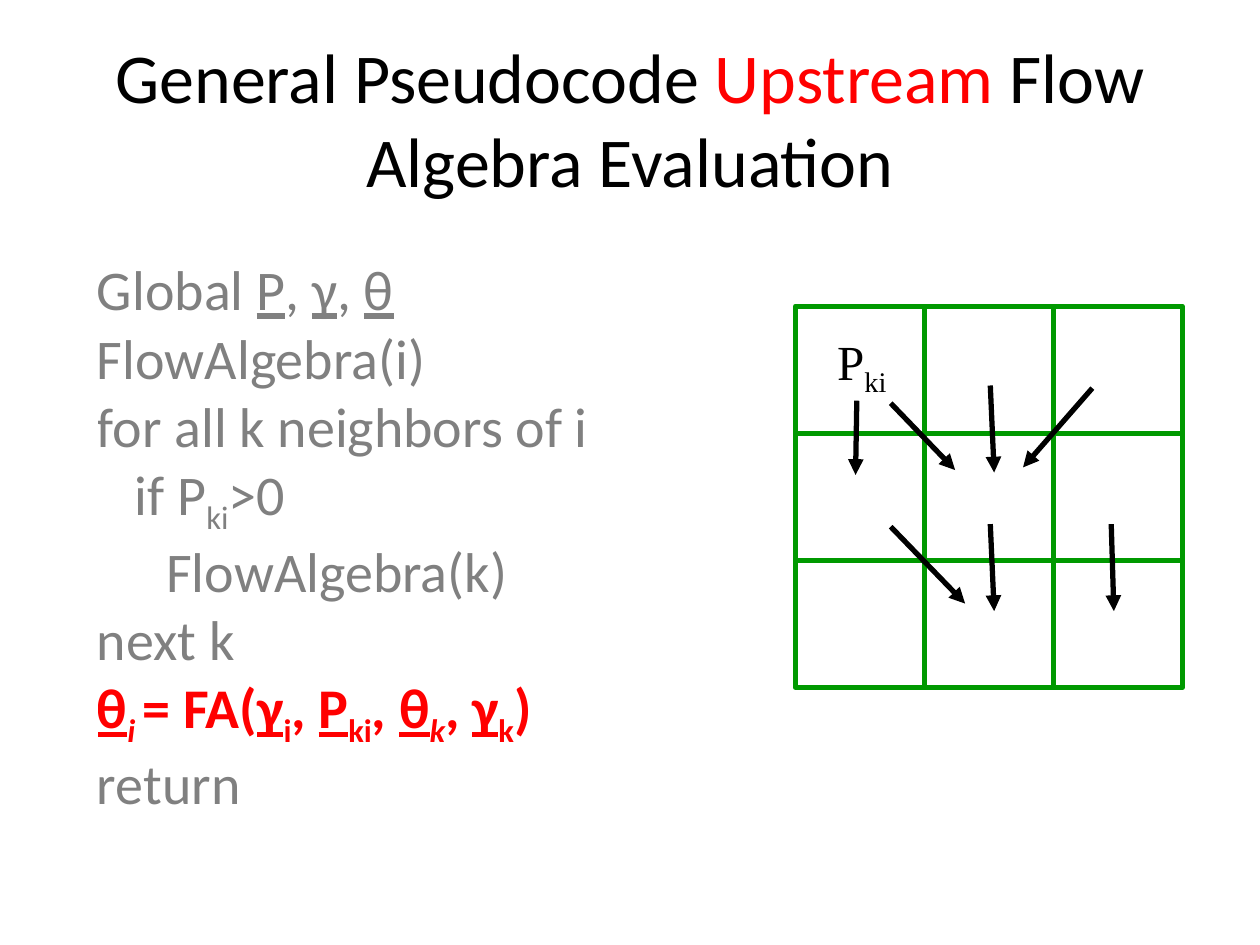
from dataclasses import dataclass
from itertools import product

from lxml import etree
from pptx import Presentation
from pptx import util as u
from pptx.dml.color import RGBColor
from pptx.enum import shapes, text
from pptx.oxml.ns import qn


@dataclass(frozen=True)
class Theme:
    black: RGBColor = RGBColor(0, 0, 0)
    red: RGBColor = RGBColor(255, 0, 0)
    gray: RGBColor = RGBColor(128, 128, 128)
    green: RGBColor = RGBColor(0, 153, 0)
    sans: str = "Calibri"
    serif: str = "Times New Roman"
    title_size: float = 40
    code_size: float = 32
    label_size: float = 28
    line_width: float = 3


THEME = Theme()

# Style letters: u underline, i italic, s subscript
TITLE = [("General Pseudocode ", THEME.black), ("Upstream", THEME.red),
         (" Flow Algebra Evaluation", THEME.black)]
RESULT = [("θ", "u"), ("i ", "is"), ("= FA(", ""), ("γ", "u"), ("i", "s"),
          (", ", ""), ("P", "u"), ("ki", "s"), (", ", ""), ("θ", "u"),
          ("k", "is"), (", ", ""), ("γ", "u"), ("k", "s"), (")", "")]
# Each line: left indent, highlighted, runs
CODE = [
    (0, False, [("Global ", ""), ("P", "u"), (", ", ""), ("γ", "u"),
                (", ", ""), ("θ", "u")]),
    (0, False, [("FlowAlgebra(i)", "")]),
    (0, False, [("for all k neighbors of i", "")]),
    (21.6, False, [("if P", ""), ("ki", "s"), (">0", "")]),
    (39.6, False, [("FlowAlgebra(k)", "")]),
    (0, False, [("next k", "")]),
    (0, True, RESULT),
    (0, False, [("return", "")]),
]

GRID_LEFT, GRID_TOP = 454.5, 175
CELL_WIDTH, CELL_HEIGHT = 73.7, 72.6
# Flow arrows: start x, start y, end x, end y
ARROWS = [
    (509, 230.4, 545.8, 268.6), (565.9, 299.5, 568.1, 349.2),
    (624.2, 221.8, 584.6, 267.1), (635, 299.5, 636.5, 349.2),
    (565.9, 220.3, 568.1, 270), (509, 301, 551.5, 344.9),
    (489.6, 229, 488.9, 271.4),
]


def points(*values):
    return [u.Pt(value) for value in values]


def add_run(para, words, font, size, color, style="", bold=False):
    span = para.add_run()
    span.text = words
    span.font.name = font
    span.font.size = u.Pt(size)
    span.font.color.rgb = color
    span.font.bold = bold
    span.font.underline = "u" in style
    span.font.italic = "i" in style
    if "s" in style:
        span._r.get_or_add_rPr().set("baseline", "-25000")


def add_title(page):
    frame = page.shapes.add_textbox(*points(54, 21, 612, 92)).text_frame
    frame.word_wrap = True
    frame.vertical_anchor = text.MSO_ANCHOR.MIDDLE
    para = frame.paragraphs[0]
    para.alignment = text.PP_ALIGN.CENTER
    for words, color in TITLE:
        add_run(para, words, THEME.sans, THEME.title_size, color)


def add_code_table(page):
    table = page.shapes.add_table(1, 1, *points(55.4, 147, 353, 307.4)).table
    table.first_row = table.horz_banding = False
    cell = table.cell(0, 0)
    cell.fill.background()
    cell.margin_left = cell.margin_right = 0
    cell.margin_top = cell.margin_bottom = 0
    frame = cell.text_frame
    for number, (indent, highlight, runs) in enumerate(CODE):
        para = frame.add_paragraph() if number else frame.paragraphs[0]
        if indent:
            para._p.get_or_add_pPr().set("marL", str(u.Pt(indent)))
        color = THEME.red if highlight else THEME.gray
        for words, style in runs:
            add_run(para, words, THEME.sans, THEME.code_size, color,
                    style, highlight)


def add_grid_cell(group, row, column):
    box = group.shapes.add_shape(
        shapes.MSO_SHAPE.RECTANGLE,
        *points(GRID_LEFT + column * CELL_WIDTH, GRID_TOP + row * CELL_HEIGHT,
                CELL_WIDTH, CELL_HEIGHT))
    box.shadow.inherit = False
    box.fill.background()
    box.line.color.rgb = THEME.green
    box.line.width = u.Pt(THEME.line_width)


def add_arrow(group, ends):
    arrow = group.shapes.add_connector(
        shapes.MSO_CONNECTOR.STRAIGHT, *points(*ends))
    arrow.line.color.rgb = THEME.black
    arrow.line.width = u.Pt(THEME.line_width)
    etree.SubElement(arrow.line._get_or_add_ln(), qn("a:tailEnd"),
                     type="triangle")
    etree.SubElement(arrow._element.spPr, qn("a:effectLst"))


def add_label(group):
    frame = group.shapes.add_textbox(*points(470, 186, 45, 41)).text_frame
    frame.word_wrap = False
    frame.auto_size = text.MSO_AUTO_SIZE.SHAPE_TO_FIT_TEXT
    para = frame.paragraphs[0]
    para.alignment = text.PP_ALIGN.CENTER
    for words, style in [("P", ""), ("ki", "s")]:
        add_run(para, words, THEME.serif, THEME.label_size, THEME.black, style)


def main():
    deck = Presentation()
    deck.slide_width, deck.slide_height = points(720, 540)
    page = deck.slides.add_slide(deck.slide_layouts[6])
    add_title(page)

    # Flow direction diagram
    group = page.shapes.add_group_shape()
    for row, column in product(range(3), repeat=2):
        add_grid_cell(group, row, column)
    for ends in ARROWS:
        add_arrow(group, ends)
    add_label(group)

    # Pseudocode
    add_code_table(page)
    deck.save("out.pptx")


if __name__ == "__main__":
    main()
